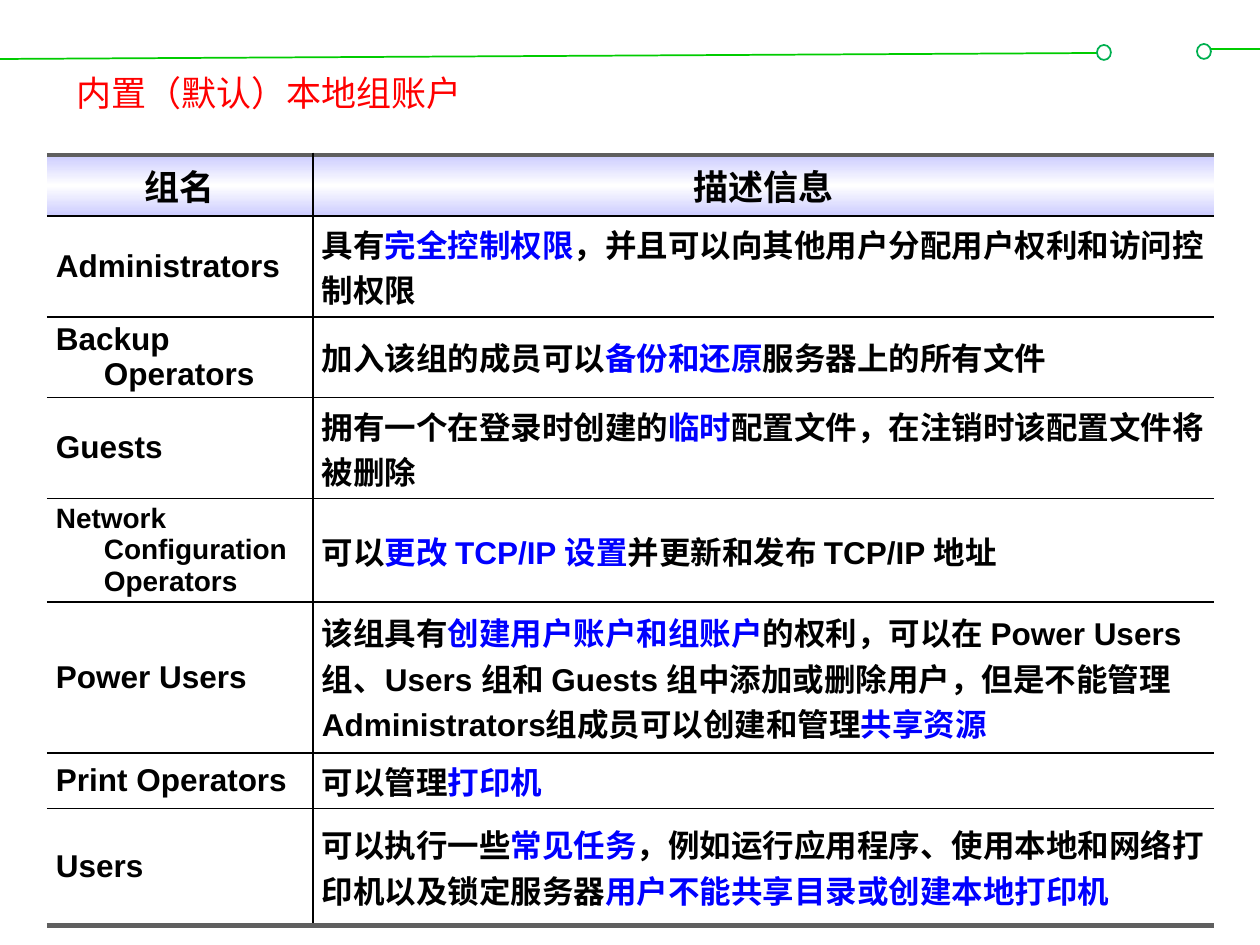
from lxml.etree import SubElement
from pptx import Presentation
from pptx.dml.color import RGBColor
from pptx.enum.shapes import MSO_CONNECTOR as CONN, MSO_SHAPE as SHAPE
from pptx.enum.text import MSO_ANCHOR as ANCHOR, PP_ALIGN as ALIGN
from pptx.oxml import parse_xml
from pptx.oxml.ns import nsdecls, qn
from pptx.util import Pt

TITLE = "内置（默认）本地组账户"
HEAD = ["组名", "描述信息"]
# END_HEAD
ROWS = [
    ("Administrators", 18, 82, ["具有", "完全控制权限", "，并且可以向其他用户分配用户权利和访问控制权限"]),
    ("Backup Operators", 18, 53, ["加入该组的成员可以", "备份和还原", "服务器上的所有文件"]),
    ("Guests", 18, 82, ["拥有一个在登录时创建的", "临时", "配置文件，在注销时该配置文件将被删除"]),
    ("Network Configuration Operators", 16, 92,
     ["可以", "更改 TCP/IP 设置", "并更新和发布 TCP/IP 地址"]),
    ("Power Users", 18, 151,
     ["该组具有", "创建用户账户和组账户",
      "的权利，可以在 Power Users 组、Users 组和 Guests 组中添加或删除用户，"
      "但是不能管理Administrators组成员可以创建和管理", "共享资源"]),
    ("Print Operators", 18, 48, ["可以管理", "打印机"]),
    ("Users", 18, 117,
     ["可以执行一些", "常见任务", "，例如运行应用程序、使用本地和网络打印机以及锁定服务器",
      "用户不能共享目录或创建本地打印机"]),
]
LINES = [(0, 59, 1097, 53), (1206, 49, 1260, 49)]
RINGS = [(1097, 45), (1197, 44)]
COLS = [266, 901]
HEAD_H = 49
CJK = "Noto Sans CJK SC"
BLACK, BLUE, GRAY = "000000", "0000FF", "5F5F5F"
MARGINS = {"margin_left": 9, "margin_right": 9, "margin_top": 5, "margin_bottom": 5}


def px(n):
    return round(n * 914400 / 126)


def rgb(h):
    return RGBColor.from_string(h)


def add_run(p, text, size, color, name="Arial", bold=True):
    r = p.add_run()
    r.text = text
    for key, value in {"size": Pt(size), "name": name, "bold": bold}.items():
        setattr(r.font, key, value)
    r.font.color.rgb = rgb(color)
    SubElement(r.font._element, qn("a:ea"), typeface=CJK)


def hang(p, n):
    pPr = p._p.get_or_add_pPr()
    pPr.set("marL", str(px(n)))
    pPr.set("indent", str(-px(n)))


def set_borders(cell, borders):
    tcPr = cell._tc.get_or_add_tcPr()
    for i, side in enumerate("LRTB"):
        color, width = borders.get(side, (None, 0))
        fill = f'<a:solidFill><a:srgbClr val="{color}"/></a:solidFill>' if color else "<a:noFill/>"
        tcPr.insert(i, parse_xml(f'<a:ln{side} {nsdecls("a")} w="{Pt(width)}">{fill}</a:ln{side}>'))


def header_fill(cell):
    stops = "".join(f'<a:gs pos="{pos}"><a:srgbClr val="{c}"/></a:gs>'
                    for pos, c in [(0, "CCCCFF"), (50000, "FFFFFF"), (100000, "CCCCFF")])
    cell._tc.get_or_add_tcPr().append(parse_xml(
        f'<a:gradFill {nsdecls("a")}><a:gsLst>{stops}</a:gsLst>'
        '<a:lin ang="5400000" scaled="0"/></a:gradFill>'))


def add_rule(s):
    for x1, y1, x2, y2 in LINES:
        line = s.shapes.add_connector(CONN.STRAIGHT, px(x1), px(y1), px(x2), px(y2))
        line.line.color.rgb = rgb("00CC00")
        line.line.width = Pt(1)
        SubElement(line._element.spPr, qn("a:effectLst"))
    for x, y in RINGS:
        sp = s.shapes.add_shape(SHAPE.OVAL, px(x), px(y), px(14), px(15))
        sp.shadow.inherit = False
        sp.fill.solid()
        sp.fill.fore_color.rgb = rgb("FFFFFF")
        sp.line.color.rgb = rgb("00B050")
        sp.line.width = Pt(1)


def add_groups(s):
    heights = [HEAD_H] + [row[2] for row in ROWS]
    table = s.shapes.add_table(len(heights), 2, px(47), px(155),
                               px(sum(COLS)), px(sum(heights))).table
    table.first_row = table.horz_banding = False
    for col, w in zip(table.columns, COLS):
        col.width = px(w)
    grid = [[([text], 20) for text in HEAD]]
    grid += [[([name], size), (parts, 18)] for name, size, _, parts in ROWS]
    last = len(grid) - 1
    for i, row in enumerate(grid):
        table.rows[i].height = px(heights[i])
        for j, (parts, size) in enumerate(row):
            cell = table.cell(i, j)
            for key, value in MARGINS.items():
                setattr(cell, key, px(value))
            p = cell.text_frame.paragraphs[0]
            if i == 0 or j == 0:
                hang(p, 48)
            if i == 0:
                p.alignment = ALIGN.CENTER
                header_fill(cell)
            else:
                cell.vertical_anchor = ANCHOR.MIDDLE
                cell.fill.solid()
                cell.fill.fore_color.rgb = rgb("FFFFFF")
            for k, text in enumerate(parts):
                add_run(p, text, size, BLUE if k % 2 else BLACK)
            set_borders(cell, {
                "LR"[1 - j]: (BLACK, 0.75),
                "T": (GRAY, 3) if i == 0 else (BLACK, 1),
                "B": (GRAY, 3) if i == last else (BLACK, 1),
            })


def add_title(s):
    tf = s.shapes.add_textbox(px(64), px(65), px(868), px(59)).text_frame
    tf.word_wrap = True
    p = tf.paragraphs[0]
    hang(p, 35)
    p.space_after = Pt(6)
    add_run(p, TITLE, 20, "FF0000", CJK, False)


def main():
    prs = Presentation()
    prs.slide_width, prs.slide_height = px(1260), px(945)
    s = prs.slides.add_slide(prs.slide_layouts[6])
    add_rule(s)
    add_groups(s)
    add_title(s)
    prs.save("out.pptx")


if __name__ == "__main__":
    main()
